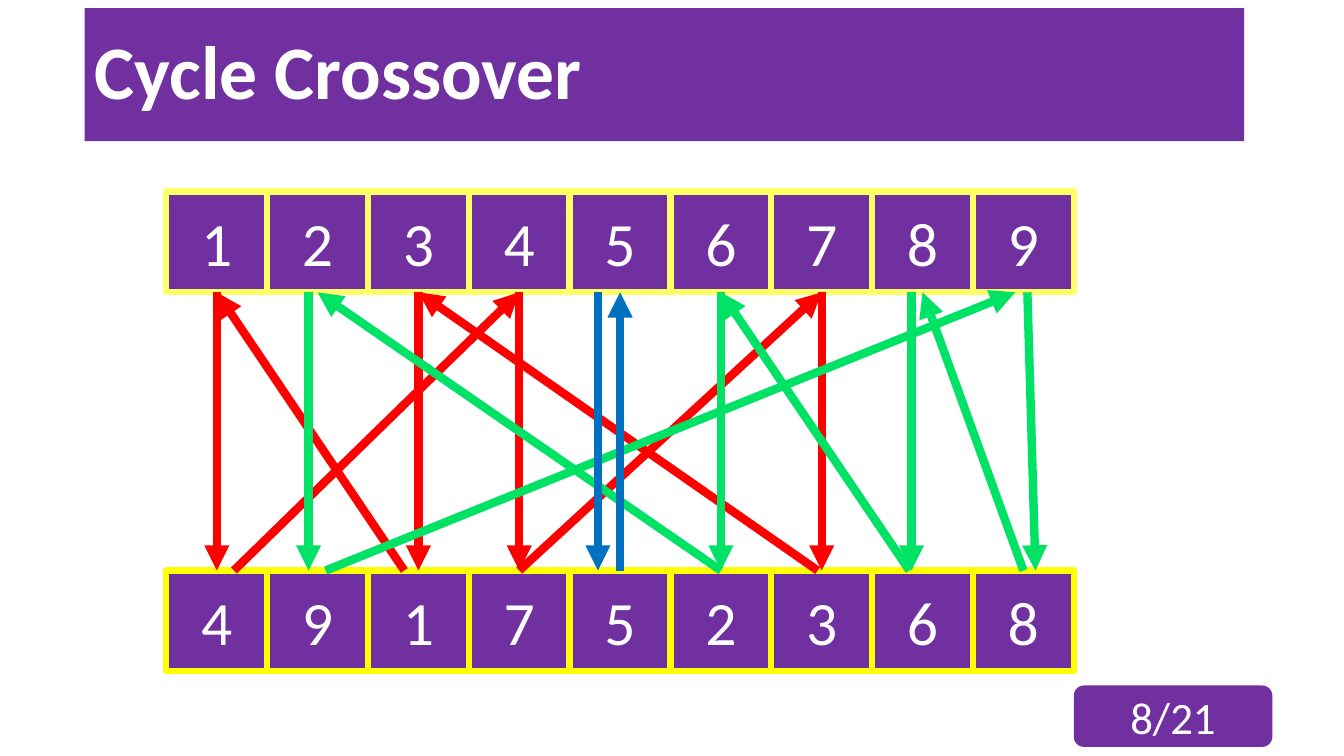
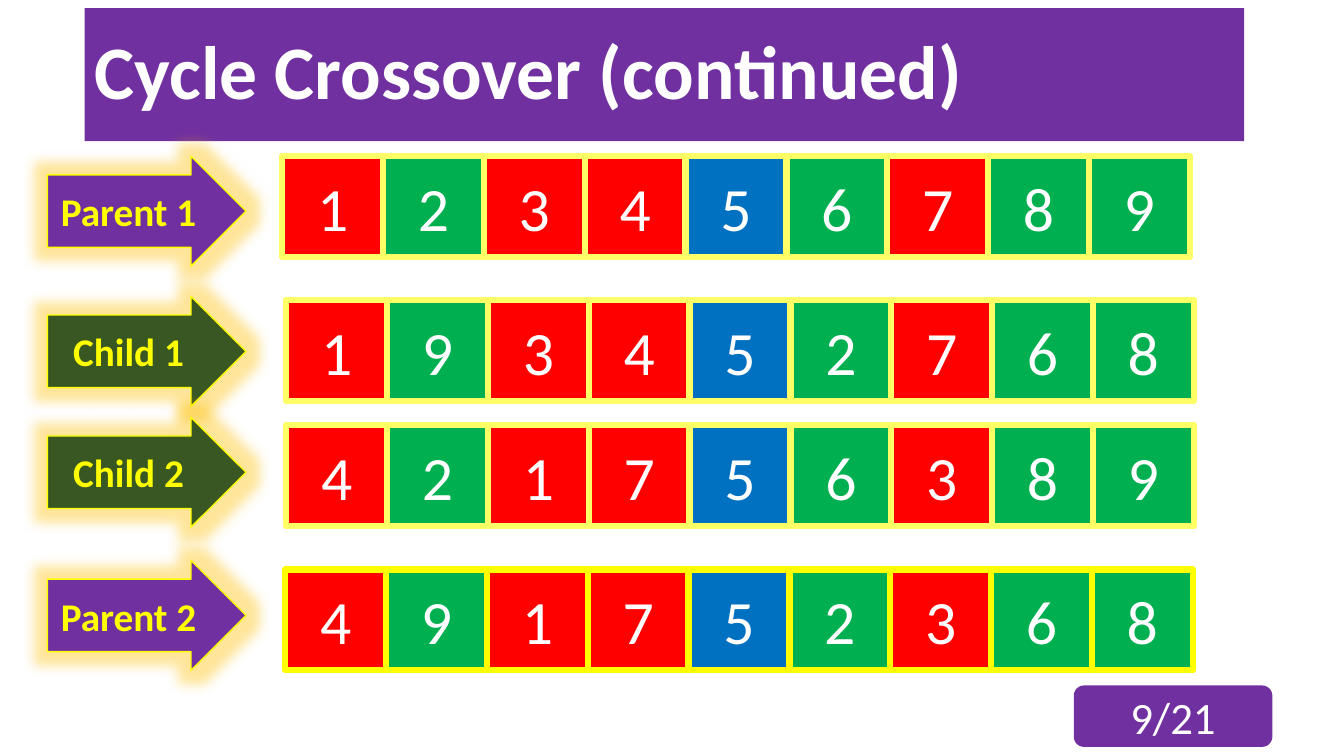
from lxml import etree
from pptx import Presentation
from pptx.dml.color import RGBColor
from pptx.enum.shapes import MSO_CONNECTOR, MSO_SHAPE
from pptx.enum.text import MSO_ANCHOR, PP_ALIGN
from pptx.oxml.ns import qn
from pptx.util import Inches, Pt

RECTANGLE = MSO_SHAPE.RECTANGLE
ROUNDED = MSO_SHAPE.ROUNDED_RECTANGLE
RIGHT_ARROW = MSO_SHAPE.RIGHT_ARROW
STRAIGHT = MSO_CONNECTOR.STRAIGHT
MIDDLE = MSO_ANCHOR.MIDDLE
LEFT, CENTER = PP_ALIGN.LEFT, PP_ALIGN.CENTER

# Shared look
FONT = "Calibri"
WHITE, PURPLE, YELLOW, PALE_YELLOW = "FFFFFF", "7030A0", "FFFF00", "FFFF66"
RED, GREEN, BLUE = "FF0000", "00B050", "0070C0"
BRIGHT_GREEN, DARK_GREEN, GLOW = "00E266", "385723", "FFC000"
SLIDE_WIDTH, SLIDE_HEIGHT = 13.33, 7.5
PAGE_COUNT = 21

# Genes are square cells, one inch to a column
CELL = 1
CYCLE_COLORS = {gene: color
                for genes, color in (("1347", RED), ("2689", GREEN), ("5", BLUE))
                for gene in genes}
PARENT_1, PARENT_2 = "123456789", "491752368"

# Slide 1: arrows of each cycle as (start, end) columns, going down and up in turn
GRID_LEFT, TOP_ROW, BOTTOM_ROW = 1.65, 1.9, 5.66
CYCLES = (
    (RED, ((0.5, 0.5), (0.67, 3.5), (3.5, 3.5), (3.5, 6.5),
           (6.5, 6.5), (6.46, 2.5), (2.5, 2.5), (2.36, 0.5))),
    (BRIGHT_GREEN, ((1.41, 1.41), (1.58, 8.42), (8.54, 8.62), (8.5, 7.5),
                    (7.39, 7.39), (7.37, 5.5), (5.5, 5.5), (5.5, 1.5))),
    (BLUE, ((4.28, 4.28), (4.5, 4.5))),
)

# Slide 2: label, label colour, label top, genes, row left, row top, border
ROWS = (
    ("Parent 1", PURPLE, 1.55, PARENT_1, 2.8, 1.55, PALE_YELLOW),
    ("Parent 2", PURPLE, 5.56, PARENT_2, 2.83, 5.65, YELLOW),
    ("Child 1", DARK_GREEN, 2.94, "193452768", 2.84, 2.98, PALE_YELLOW),
    ("Child 2", DARK_GREEN, 4.14, "421756389", 2.84, 4.22, PALE_YELLOW),
)


def rgb(color):
    return RGBColor.from_string(color)


def add_box(page, kind, place, fill, text, border=None, border_width=1,
            align=CENTER, color=WHITE, **font):
    """Draw a filled preset shape with one line of text."""
    box = page.shapes.add_shape(kind, *map(Inches, place))
    box.shadow.inherit = False
    box.fill.solid()
    box.fill.fore_color.rgb = rgb(fill)
    if border:
        box.line.color.rgb = rgb(border)
        box.line.width = Pt(border_width)
    else:
        box.line.fill.background()
    box.text_frame.word_wrap = True
    box.text_frame.vertical_anchor = MIDDLE
    para = box.text_frame.paragraphs[0]
    para.alignment = align
    span = para.add_run()
    span.text = text
    span.font.color.rgb = rgb(color)
    for name, value in {"name": FONT, **font}.items():
        setattr(span.font, name, value)
    return box


def add_page(deck, title, number):
    """Add a blank slide with the title band and the page badge."""
    page = deck.slides.add_slide(deck.slide_layouts[6])
    band = add_box(page, RECTANGLE, (0.84, 0.08, 11.5, 1.32), PURPLE, title,
                   align=LEFT, size=Pt(54), bold=True)
    band.text_frame.paragraphs[0].line_spacing = 0.9
    add_box(page, ROUNDED, (10.65, 6.8, 1.97, 0.61), PURPLE,
            f"{number}/{PAGE_COUNT}", size=Pt(32))
    return page


def add_genes(page, genes, left, top, border, fills):
    for column, gene in enumerate(genes):
        place = (left + column * CELL, top, CELL, CELL)
        add_box(page, RECTANGLE, place, fills.get(gene, PURPLE), gene,
                border, 4.5, size=Pt(44))


def add_arrow(page, start, end, color):
    arrow = page.shapes.add_connector(STRAIGHT, *map(Inches, start + end))
    arrow.line.color.rgb = rgb(color)
    arrow.line.width = Pt(6)
    etree.SubElement(arrow.line._get_or_add_ln(), qn("a:tailEnd"), type="triangle")
    etree.SubElement(arrow._element.spPr, qn("a:effectLst"))


def add_label(page, text, top, fill):
    """Draw a block arrow with a soft glow that names a row."""
    label = add_box(page, RIGHT_ARROW, (0.47, top, 1.97, 1.09), fill, text,
                    YELLOW, color=YELLOW, size=Pt(28), bold=True)
    label.adjustments[0] = 0.66
    effects = label._element.spPr.find(qn("a:effectLst"))
    glow = etree.SubElement(effects, qn("a:glow"), rad=str(Pt(18)))
    tint = etree.SubElement(glow, qn("a:srgbClr"), val=GLOW)
    etree.SubElement(tint, qn("a:alpha"), val="40000")


def build_cycles(deck):
    page = add_page(deck, "Cycle Crossover", 8)
    add_genes(page, PARENT_1, GRID_LEFT, TOP_ROW, PALE_YELLOW, {})
    add_genes(page, PARENT_2, GRID_LEFT, BOTTOM_ROW, YELLOW, {})
    levels = (TOP_ROW + CELL, BOTTOM_ROW)
    for color, steps in CYCLES:
        for index, (start, end) in enumerate(steps):
            first, last = levels if index % 2 == 0 else levels[::-1]
            add_arrow(page, (GRID_LEFT + start * CELL, first),
                      (GRID_LEFT + end * CELL, last), color)


def build_children(deck):
    page = add_page(deck, "Cycle Crossover (continued)", 9)
    for text, fill, label_top, genes, left, top, border in ROWS:
        add_genes(page, genes, left, top, border, CYCLE_COLORS)
        add_label(page, text, label_top, fill)


def main():
    deck = Presentation()
    deck.slide_width = Inches(SLIDE_WIDTH)
    deck.slide_height = Inches(SLIDE_HEIGHT)
    build_cycles(deck)
    build_children(deck)
    deck.save("out.pptx")


if __name__ == "__main__":
    main()
